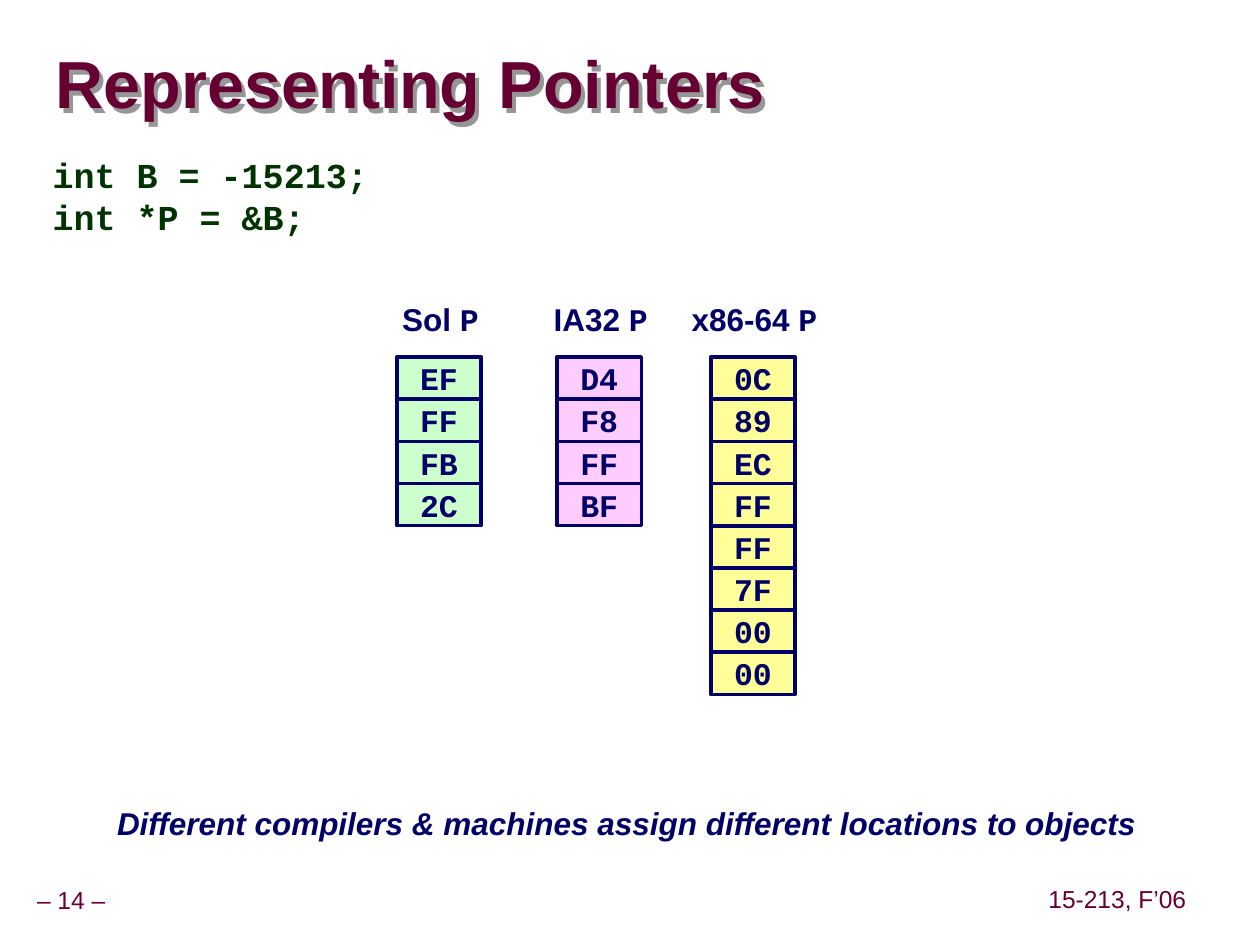
from lxml.etree import SubElement
from pptx import Presentation
from pptx.dml.color import RGBColor
from pptx.enum.shapes import MSO_SHAPE
from pptx.enum.text import MSO_ANCHOR, PP_ALIGN
from pptx.oxml.ns import qn
from pptx.util import Cm, Pt

COLORS = {
    "maroon": "660033",
    "code": "003300",
    "navy": "000066",
    "shadow": "969696",
    "green": "CCFFCC",
    "pink": "FFCCFF",
    "yellow": "FFFF99",
}
SANS, MONO = "Arial", "Courier New"

# Byte columns: machine, left edge, label width, fill, bytes by rising address
COLUMNS = [
    ("Sol", 8.0, 2.26, "green", ["EF", "FF", "FB", "2C"]),
    ("IA32", 11.23, 2.41, "pink", ["D4", "F8", "FF", "BF"]),
    ("x86-64", 14.33, 3.05, "yellow",
     ["0C", "89", "EC", "FF", "FF", "7F", "00", "00"]),
]
LABEL_TOP, LABEL_HEIGHT, LABEL_SHIFT = 5.92, 1.02, 0.03
CELL_TOP, CELL_WIDTH, CELL_HEIGHT = 7.2, 1.7, 0.85


def rgb(name):
    return RGBColor.from_string(COLORS[name])


def style(font, size, color, name=SANS, bold=True, italic=False):
    font.size, font.name = Pt(size), name
    font.bold, font.italic = bold, italic
    font.color.rgb = rgb(color)


def add_text(shapes, box, lines, size, color, name=SANS, bold=True,
             italic=False, align=PP_ALIGN.LEFT, anchor=MSO_ANCHOR.TOP,
             inset=(0.25, 0.13), wrap=False, spacing=None):
    """Add a text box with one paragraph per line."""
    holder = shapes.add_textbox(*map(Cm, box))
    frame = holder.text_frame
    frame.word_wrap, frame.vertical_anchor = wrap, anchor
    frame.margin_left = frame.margin_right = Cm(inset[0])
    frame.margin_top = frame.margin_bottom = Cm(inset[1])
    frame.text = "\n".join(lines)
    for paragraph in frame.paragraphs:
        paragraph.alignment = align
        paragraph.line_spacing = spacing
        style(paragraph.font, size, color, name, bold, italic)
    return holder


def add_title(shapes, text):
    title = add_text(shapes, (1.12, 0.69, 24.2, 2.16), [text], 38, "maroon",
                     anchor=MSO_ANCHOR.MIDDLE, inset=(0, 0), wrap=True,
                     spacing=0.87)
    # An unfilled box casts its shadow from the letters
    effects = SubElement(title.element.spPr, qn("a:effectLst"))
    shadow = SubElement(effects, qn("a:outerShdw"), dist="45000",
                        dir="3000000", algn="ctr", rotWithShape="0")
    SubElement(shadow, qn("a:srgbClr"), val=COLORS["shadow"])


def add_footer(shapes, left, top, width, text):
    add_text(shapes, (left, top, width, 0.79), [text], 14, "maroon",
             bold=False, align=PP_ALIGN.CENTER, anchor=MSO_ANCHOR.MIDDLE,
             inset=(0.13, 0.13), spacing=0.9)


def add_byte(shapes, left, top, value, fill):
    cell = shapes.add_shape(MSO_SHAPE.RECTANGLE, Cm(left), Cm(top),
                            Cm(CELL_WIDTH), Cm(CELL_HEIGHT))
    cell.shadow.inherit = False
    cell.fill.solid()
    cell.fill.fore_color.rgb = rgb(fill)
    cell.line.color.rgb = rgb("navy")
    cell.line.width = Pt(2)
    frame = cell.text_frame
    frame.word_wrap, frame.vertical_anchor = False, MSO_ANCHOR.MIDDLE
    frame.text = value
    paragraph = frame.paragraphs[0]
    paragraph.alignment = PP_ALIGN.CENTER
    style(paragraph.font, 18, "navy", MONO)


def add_column(slide, machine, left, label_width, fill, values):
    """Group a machine label with its stack of bytes."""
    shapes = slide.shapes.add_group_shape().shapes
    for row, value in enumerate(values):
        add_byte(shapes, left, CELL_TOP + row * CELL_HEIGHT, value, fill)
    label_left = left + (CELL_WIDTH - label_width) / 2 + LABEL_SHIFT
    label = add_text(shapes,
                     (label_left, LABEL_TOP, label_width, LABEL_HEIGHT),
                     [f"{machine} "], 18, "navy", align=PP_ALIGN.CENTER)
    pointer = label.text_frame.paragraphs[0].add_run()
    pointer.text = "P"
    pointer.font.name = MONO


def main():
    deck = Presentation()
    deck.slide_width, deck.slide_height = Cm(25.4), Cm(19.05)
    slide = deck.slides.add_slide(deck.slide_layouts[6])
    shapes = slide.shapes

    # Footer
    add_footer(shapes, -0.23, 17.78, 3.33, "– 14 –")
    add_footer(shapes, 21.0, 17.76, 3.05, "15-213, F’06")

    # Title and declarations
    add_title(shapes, "Representing Pointers")
    add_text(shapes, (0.81, 2.97, 23.09, 14.94),
             ["int B = -15213;", "int *P = &B;"], 20, "code", MONO, wrap=True)

    # Pointer bytes on each machine
    for column in COLUMNS:
        add_column(slide, *column)

    # Conclusion
    add_text(shapes, (2.11, 16.08, 21.08, 1.02),
             ["Different compilers & machines assign different locations "
              "to objects"], 18, "navy", italic=True)

    deck.save("out.pptx")


if __name__ == "__main__":
    main()
